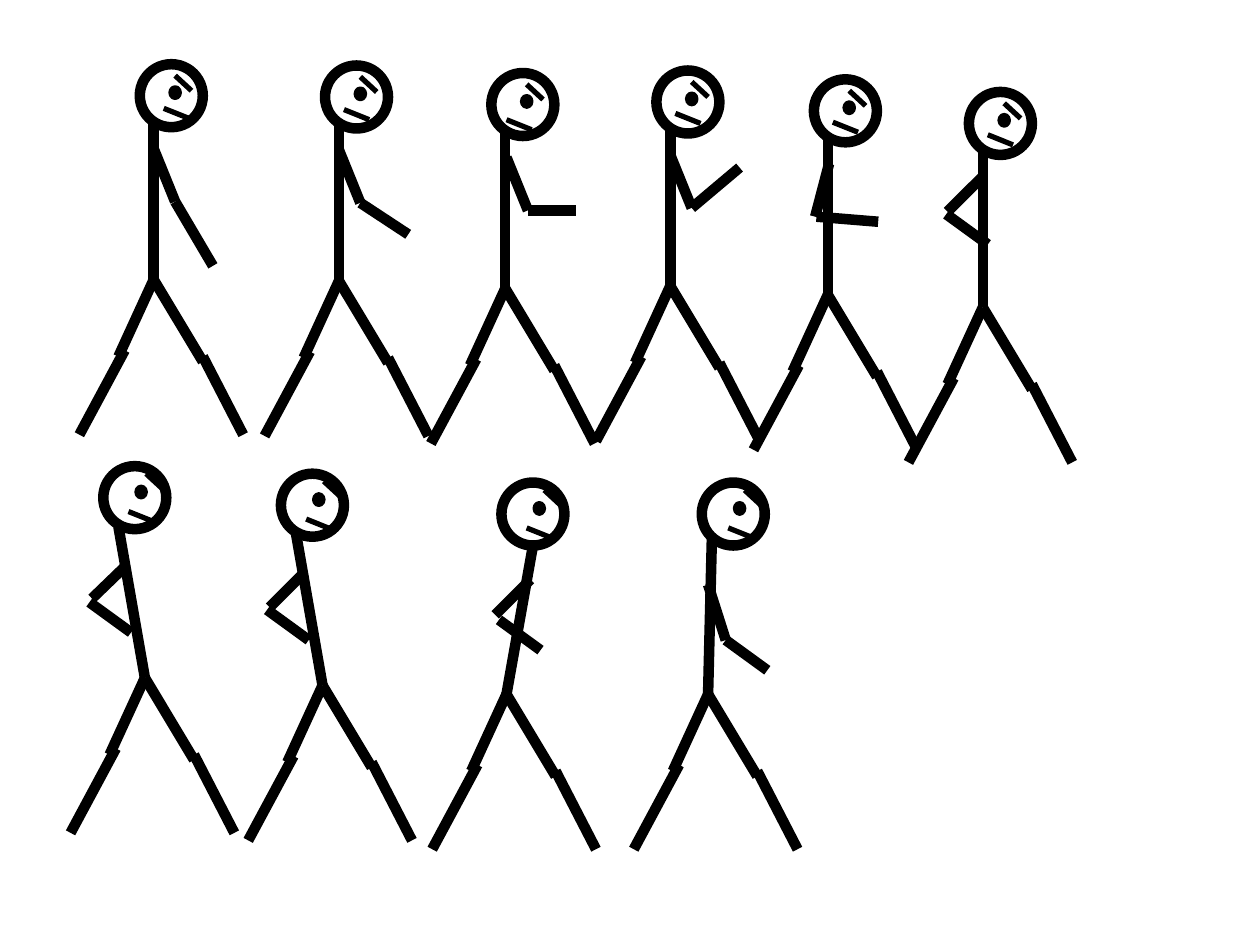
from dataclasses import dataclass

from lxml.etree import SubElement
from pptx import Presentation
from pptx.dml.color import RGBColor
from pptx.enum.shapes import MSO_CONNECTOR, MSO_SHAPE
from pptx.oxml.ns import qn
from pptx.util import Inches, Pt


@dataclass(frozen=True)
class Theme:
    ink: RGBColor = RGBColor(0x00, 0x00, 0x00)
    limb: float = 6
    feature: float = 3
    eye: float = 2


@dataclass(frozen=True)
class Torso:
    neck: tuple
    head: tuple
    eye: tuple
    brow: tuple


@dataclass(frozen=True)
class Pose:
    hip: tuple
    torso: Torso
    shoulder: tuple
    elbow: tuple
    forearm: tuple
    hand: tuple
    mouth: tuple = (0.15, 0.34)


THEME = Theme()
HEAD_SIZE = (0.5, 0.5)
EYE_SIZE = (0.08, 0.09)
BROW_SPAN = (0.13, 0.12)
MOUTH_SPAN = (0.2, 0.08)

LEGS = [
    ((0, 0), (-0.28, 0.61)),
    ((-0.23, 0.56), (-0.59, 1.23)),
    ((0, 0), (0.39, 0.65)),
    ((0.39, 0.61), (0.71, 1.23)),
]

UPRIGHT = Torso((0, -1.24), (-0.11, -1.71), (0.24, 0.18), (0.28, 0.09))
LEANING_BACK = Torso((-0.21, -1.2), (-0.33, -1.68), (0.26, 0.16), (0.34, 0.06))
LEANING_FORWARD = Torso((0.21, -1.18), (-0.04, -1.68), (0.26, 0.16), (0.34, 0.06))
NEARLY_UPRIGHT = Torso((0.03, -1.25), (-0.05, -1.68), (0.26, 0.16), (0.34, 0.06))

POSES = [
    Pose((1.22, 2.22), UPRIGHT, (0, -1.04), (0.17, -0.62), (0.17, -0.62), (0.47, -0.11), (0.19, 0.35)),
    Pose((2.69, 2.23), UPRIGHT, (0, -1.04), (0.17, -0.62), (0.17, -0.62), (0.55, -0.37), (0.15, 0.35)),
    Pose((4.01, 2.29), UPRIGHT, (0.01, -1.04), (0.18, -0.62), (0.18, -0.62), (0.56, -0.62), (0.12, 0.37)),
    Pose((5.32, 2.27), UPRIGHT, (0, -1.04), (0.17, -0.62), (0.17, -0.62), (0.55, -0.94)),
    Pose((6.57, 2.34), UPRIGHT, (0.01, -1.04), (-0.1, -0.62), (-0.09, -0.62), (0.4, -0.58)),
    Pose((7.8, 2.44), UPRIGHT, (0, -1.04), (-0.28, -0.76), (-0.29, -0.74), (0.04, -0.5)),
    Pose((1.15, 5.38), LEANING_BACK, (-0.14, -0.9), (-0.42, -0.63), (-0.44, -0.6), (-0.11, -0.36), (0.2, 0.36)),
    Pose((2.56, 5.44), LEANING_BACK, (-0.14, -0.9), (-0.42, -0.62), (-0.44, -0.6), (-0.11, -0.36), (0.2, 0.36)),
    Pose((4.02, 5.51), LEANING_FORWARD, (0.19, -0.91), (-0.09, -0.63), (-0.06, -0.59), (0.27, -0.35), (0.2, 0.36)),
    Pose((5.62, 5.51), NEARLY_UPRIGHT, (0, -0.87), (0.14, -0.43), (0.14, -0.43), (0.47, -0.19), (0.21, 0.36)),
]


def offset(origin, delta):
    return origin[0] + delta[0], origin[1] + delta[1]


def add_stroke(shapes, origin, start, end, width):
    points = [Inches(value) for point in (start, end) for value in offset(origin, point)]
    connector = shapes.add_connector(MSO_CONNECTOR.STRAIGHT, *points)
    connector.line.color.rgb = THEME.ink
    connector.line.width = Pt(width)
    SubElement(connector._element.spPr, qn("a:effectLst"))


def add_circle(shapes, corner, size, width, filled):
    box = [Inches(value) for value in (*corner, *size)]
    shape = shapes.add_shape(MSO_SHAPE.OVAL, *box)
    shape.shadow.inherit = False
    if filled:
        shape.fill.solid()
        shape.fill.fore_color.rgb = THEME.ink
    else:
        shape.fill.background()
    shape.line.color.rgb = THEME.ink
    shape.line.width = Pt(width)


def add_head(shapes, corner, torso, mouth):
    add_circle(shapes, corner, HEAD_SIZE, THEME.limb, False)
    add_circle(shapes, offset(corner, torso.eye), EYE_SIZE, THEME.eye, True)
    for start, span in ((torso.brow, BROW_SPAN), (mouth, MOUTH_SPAN)):
        add_stroke(shapes, corner, start, offset(start, span), THEME.feature)


def add_figure(slide, pose):
    shapes = slide.shapes.add_group_shape().shapes
    limbs = [
        (pose.torso.neck, (0, 0)),
        *LEGS,
        (pose.shoulder, pose.elbow),
        (pose.hand, pose.forearm),
    ]
    for start, end in limbs:
        add_stroke(shapes, pose.hip, start, end, THEME.limb)
    add_head(shapes, offset(pose.hip, pose.torso.head), pose.torso, pose.mouth)


def main():
    presentation = Presentation()
    presentation.slide_width = Inches(10)
    presentation.slide_height = Inches(7.5)
    slide = presentation.slides.add_slide(presentation.slide_layouts[6])
    for pose in POSES:
        add_figure(slide, pose)
    presentation.save("out.pptx")


if __name__ == "__main__":
    main()
